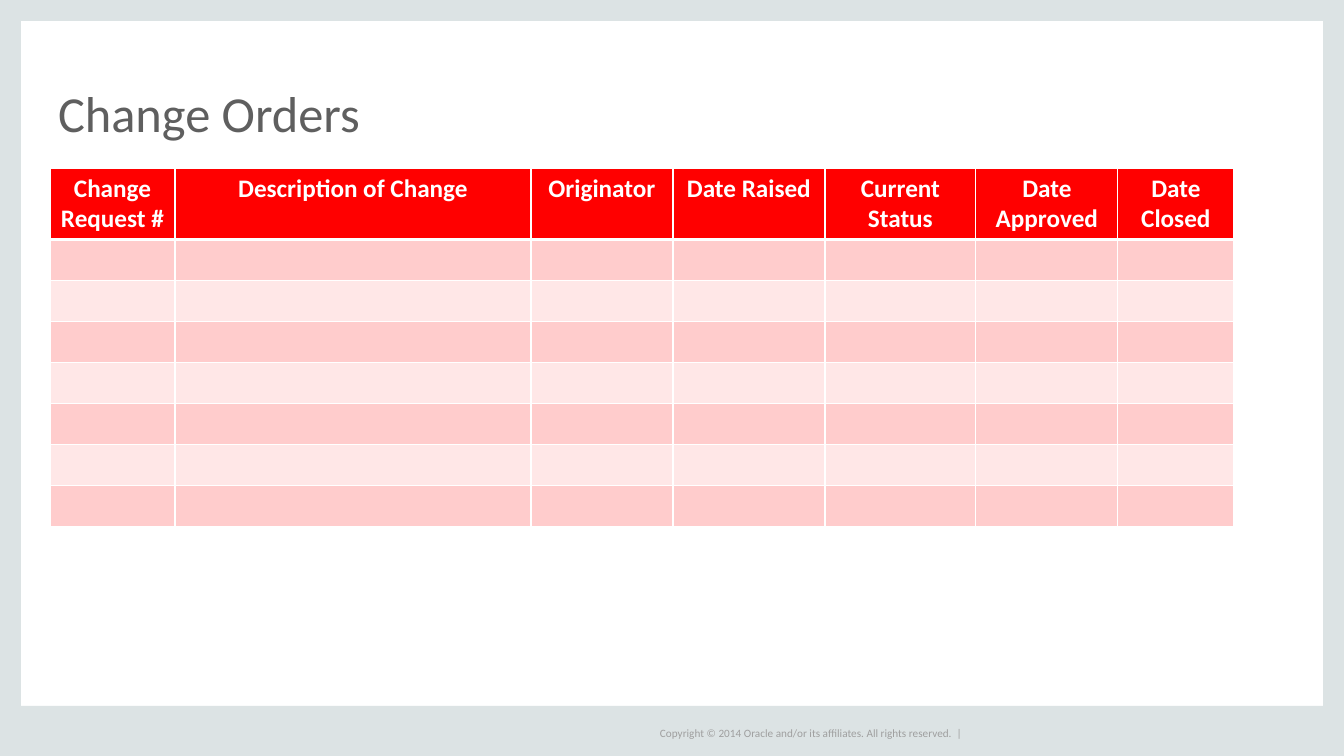
from lxml.etree import SubElement
from pptx import Presentation
from pptx.dml.color import RGBColor
from pptx.enum.shapes import MSO_SHAPE
from pptx.enum.text import MSO_ANCHOR, MSO_AUTO_SIZE, PP_ALIGN
from pptx.oxml.ns import qn
from pptx.util import Pt

PX = 914400 / 100.8
SLIDE_WIDTH, SLIDE_HEIGHT = 1344, 756

FRAME_GREY = RGBColor(0xDC, 0xE3, 0xE4)
FOOTER_GREY = RGBColor(0x9F, 0x9F, 0x9F)
TITLE_GREY = RGBColor(0x5F, 0x5F, 0x5F)
WHITE = RGBColor(0xFF, 0xFF, 0xFF)
HEADER_RED = RGBColor(0xFF, 0x00, 0x00)
BANDS = RGBColor(0xFF, 0xCC, 0xCC), RGBColor(0xFF, 0xE7, 0xE7)

COLUMNS = [
    ("Change Request #", 125),
    ("Description of Change", 356),
    ("Originator", 142),
    ("Date Raised", 152),
    ("Current Status", 151),
    ("Date Approved", 142),
    ("Date Closed", 116),
]
HEADER_HEIGHT, ROW_HEIGHT, ROW_COUNT = 71, 41, 7


def px(length):
    return round(length * PX)


def box_emu(*box):
    return [px(length) for length in box]


def add_run(paragraph, text, size, color, bold=False):
    run = paragraph.add_run()
    run.text = text
    run.font.name = "Calibri"
    run.font.size = Pt(size)
    run.font.bold = bold
    run.font.color.rgb = color


def prepare_frame(frame, anchor, wrap):
    frame.margin_left = frame.margin_right = 0
    frame.margin_top = frame.margin_bottom = 0
    frame.vertical_anchor = anchor
    frame.auto_size = MSO_AUTO_SIZE.NONE
    frame.word_wrap = wrap


def add_border_frame(slide, left, top, width, height):
    side, bottom = 21, 50
    bars = [
        (left, top, side, height),
        (left + width - side, top, side, height),
        (left, top + height - bottom, width, bottom),
        (left, top, width, side),
    ]
    for bar in bars:
        shape = slide.shapes.add_shape(MSO_SHAPE.RECTANGLE, *box_emu(*bar))
        shape.shadow.inherit = False
        shape.fill.solid()
        shape.fill.fore_color.rgb = FRAME_GREY
        shape.line.fill.background()


def add_footer(slide, left, top, width, height):
    shape = slide.shapes.add_textbox(*box_emu(left, top, width, height))
    prepare_frame(shape.text_frame, MSO_ANCHOR.MIDDLE, False)
    add_run(shape.text_frame.paragraphs[0],
            "Copyright © 2014 Oracle and/or its affiliates. All rights reserved.  |",
            8, FOOTER_GREY)


def place_title(slide, left, top, width, height):
    title = slide.shapes.title
    title.left, title.top, title.width, title.height = box_emu(left, top, width, height)
    prepare_frame(title.text_frame, MSO_ANCHOR.BOTTOM, True)
    paragraph = title.text_frame.paragraphs[0]
    paragraph.alignment = PP_ALIGN.LEFT
    paragraph.line_spacing = 0.8
    add_run(paragraph, "Change Orders", 36, TITLE_GREY)


def style_cell(cell, color, bottom_width=1, top_width=1):
    properties = cell._tc.get_or_add_tcPr()
    widths = {"a:lnL": 1, "a:lnR": 1, "a:lnT": top_width, "a:lnB": bottom_width}
    for tag, width in widths.items():
        line = SubElement(properties, qn(tag), w=str(Pt(width)))
        fill = SubElement(line, qn("a:solidFill"))
        SubElement(fill, qn("a:srgbClr"), val=str(WHITE))
    cell.fill.solid()
    cell.fill.fore_color.rgb = color


def add_change_table(slide, left, top):
    width = sum(column_width for _, column_width in COLUMNS)
    height = HEADER_HEIGHT + ROW_COUNT * ROW_HEIGHT
    table = slide.shapes.add_table(ROW_COUNT + 1, len(COLUMNS),
                                   *box_emu(left, top, width, height)).table
    # Header row
    table.rows[0].height = px(HEADER_HEIGHT)
    for index, (heading, column_width) in enumerate(COLUMNS):
        table.columns[index].width = px(column_width)
        cell = table.cell(0, index)
        style_cell(cell, HEADER_RED, bottom_width=3)
        paragraph = cell.text_frame.paragraphs[0]
        paragraph.alignment = PP_ALIGN.CENTER
        add_run(paragraph, heading, 18, WHITE, bold=True)
    # Banded empty rows
    for row in range(1, ROW_COUNT + 1):
        table.rows[row].height = px(ROW_HEIGHT)
        for index in range(len(COLUMNS)):
            style_cell(table.cell(row, index), BANDS[(row - 1) % 2],
                       top_width=3 if row == 1 else 1)


def main():
    presentation = Presentation()
    presentation.slide_width = px(SLIDE_WIDTH)
    presentation.slide_height = px(SLIDE_HEIGHT)
    slide = presentation.slides.add_slide(presentation.slide_layouts[5])
    add_border_frame(slide, 0, 0, SLIDE_WIDTH, SLIDE_HEIGHT)
    add_footer(slide, 660, 723, 307, 20)
    place_title(slide, 58, 44, 1227, 98)
    add_change_table(slide, 50, 168)
    presentation.save("out.pptx")


if __name__ == "__main__":
    main()
